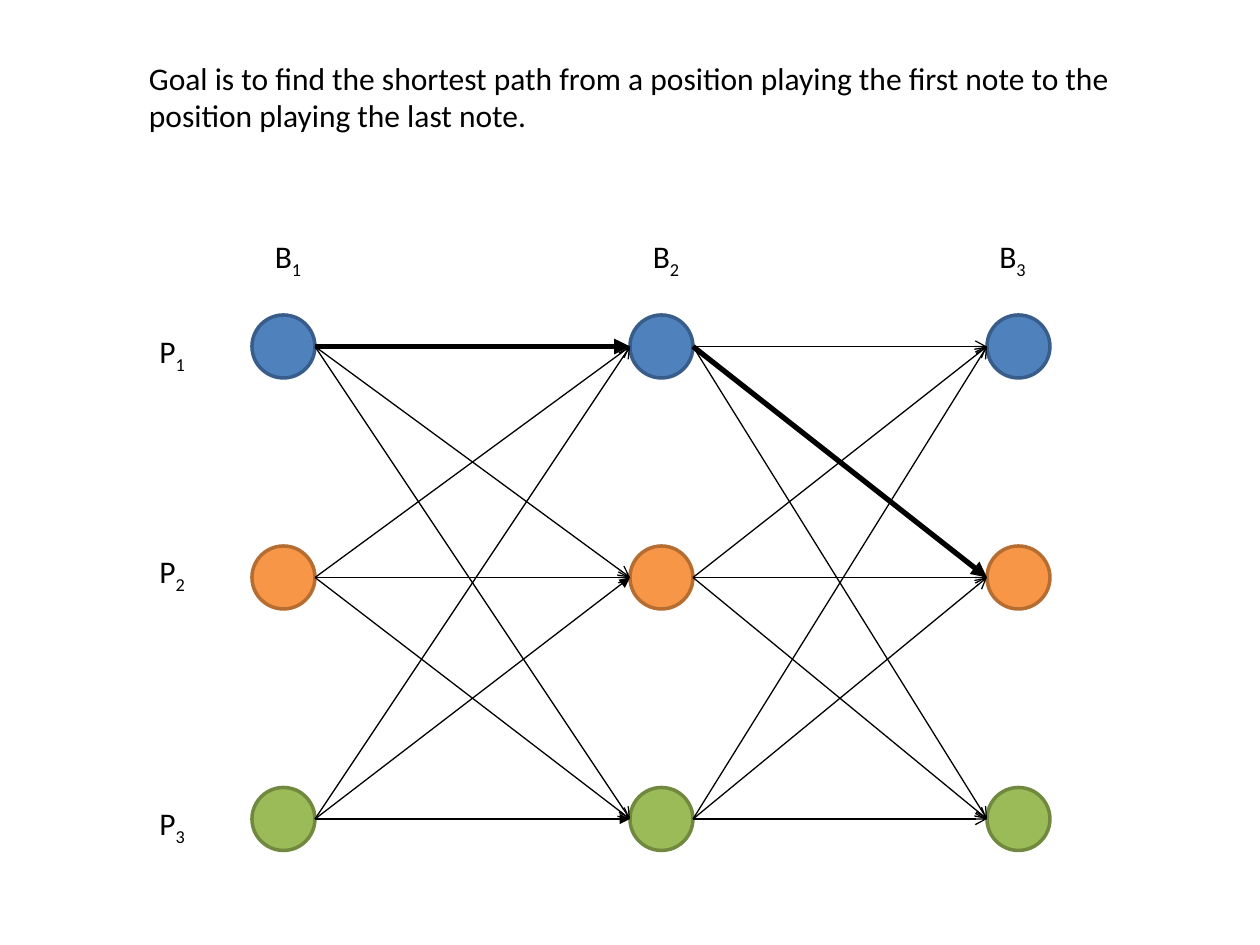
"""Build a slide showing the shortest path through a grid of note positions."""
from itertools import product

from lxml import etree
from pptx import Presentation
from pptx.dml.color import RGBColor
from pptx.enum.shapes import MSO_CONNECTOR, MSO_SHAPE
from pptx.enum.text import MSO_AUTO_SIZE
from pptx.oxml.ns import qn
from pptx.util import Pt

OVAL = MSO_SHAPE.OVAL
STRAIGHT = MSO_CONNECTOR.STRAIGHT
GROW = MSO_AUTO_SIZE.SHAPE_TO_FIT_TEXT

SIZE = 36
COLUMNS = [144, 360, 564]
ROWS = [180, 312, 450]
COLORS = [("4F81BD", "385D8A"), ("F79646", "B66D31"), ("9BBB59", "71893F")]
SHORTEST = {(0, 0, 0), (1, 0, 1)}
SOLID_HEADS = SHORTEST | {(0, 2, 1), (0, 2, 2)}


def rgb(value):
    return RGBColor.from_string(value)


def add_text(x, y, width, height, text, subscript=""):
    tb = s.shapes.add_textbox(Pt(x), Pt(y), Pt(width), Pt(height))
    tf = tb.text_frame
    tf.word_wrap = True
    tf.auto_size = GROW
    p = tf.paragraphs[0]
    for part in filter(None, (text, subscript)):
        r = p.add_run()
        r.text = part
        r.font.name = "Calibri"
        r.font.size = Pt(18)
        r.font.color.rgb = rgb("000000")
    if subscript:
        r.font._element.set("baseline", "-25000")


prs = Presentation()
prs.slide_width, prs.slide_height = Pt(720), Pt(540)
s = prs.slides.add_slide(prs.slide_layouts[6])

for x, (y, (fill, outline)) in product(COLUMNS, zip(ROWS, COLORS)):
    sp = s.shapes.add_shape(OVAL, Pt(x), Pt(y), Pt(SIZE), Pt(SIZE))
    sp.shadow.inherit = False
    sp.fill.solid()
    sp.fill.fore_color.rgb = rgb(fill)
    sp.line.color.rgb = rgb(outline)
    sp.line.width = Pt(2)

for col, start, end in product(range(2), range(3), range(3)):
    edge = (col, start, end)
    cx = s.shapes.add_connector(
        STRAIGHT,
        Pt(COLUMNS[col] + SIZE), Pt(ROWS[start] + SIZE / 2),
        Pt(COLUMNS[col + 1]), Pt(ROWS[end] + SIZE / 2),
    )
    cx.line.color.rgb = rgb("000000")
    cx.line.width = Pt(3 if edge in SHORTEST else 0.75)
    head = "triangle" if edge in SOLID_HEADS else "arrow"
    etree.SubElement(cx.line._get_or_add_ln(), qn("a:tailEnd"), type=head)
    etree.SubElement(cx._element.spPr, qn("a:effectLst"))

for number, x in enumerate([150, 366, 564], 1):
    add_text(x, 132, 36, 32, "B", str(number))
for number, y in enumerate([186, 312, 456], 1):
    add_text(84, y, 36, 32, "P", str(number))
add_text(78, 30, 564, 50.4, "Goal is to find the shortest path from a position playing "
         "the first note to the position playing the last note.")

prs.save("out.pptx")
